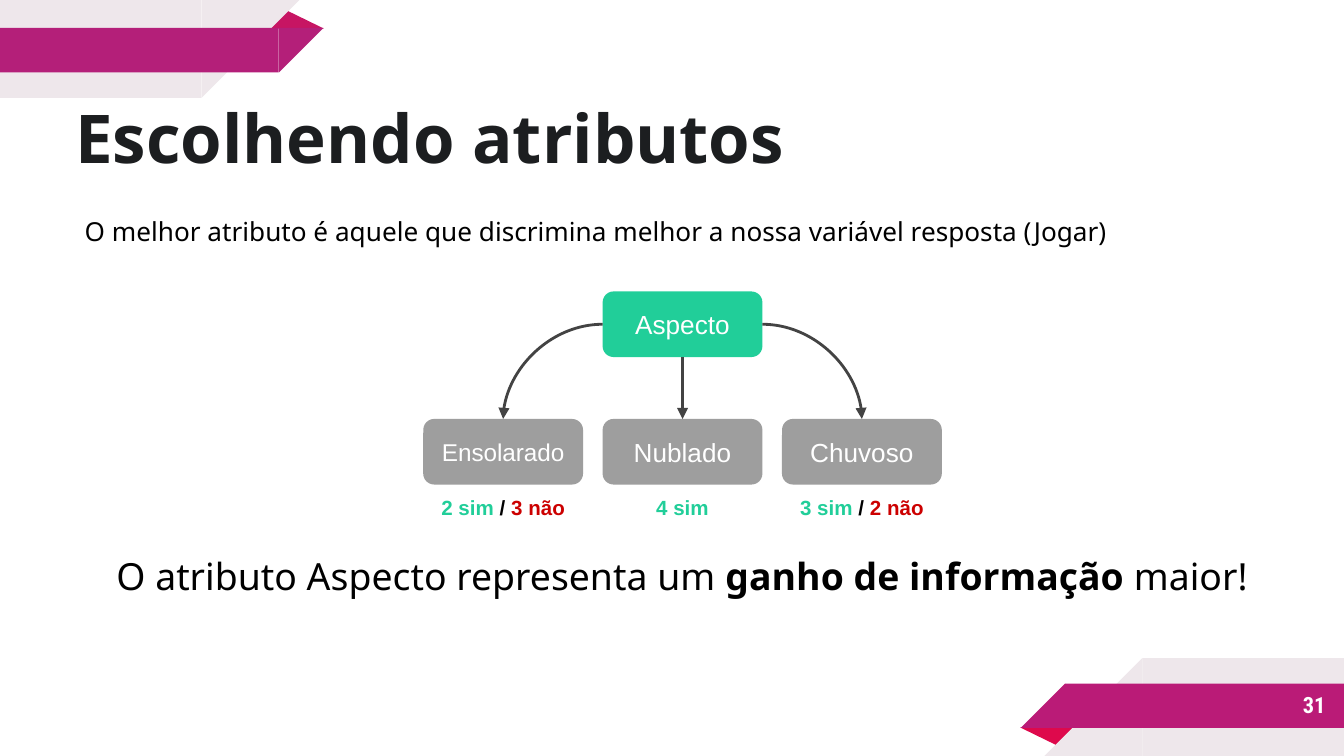
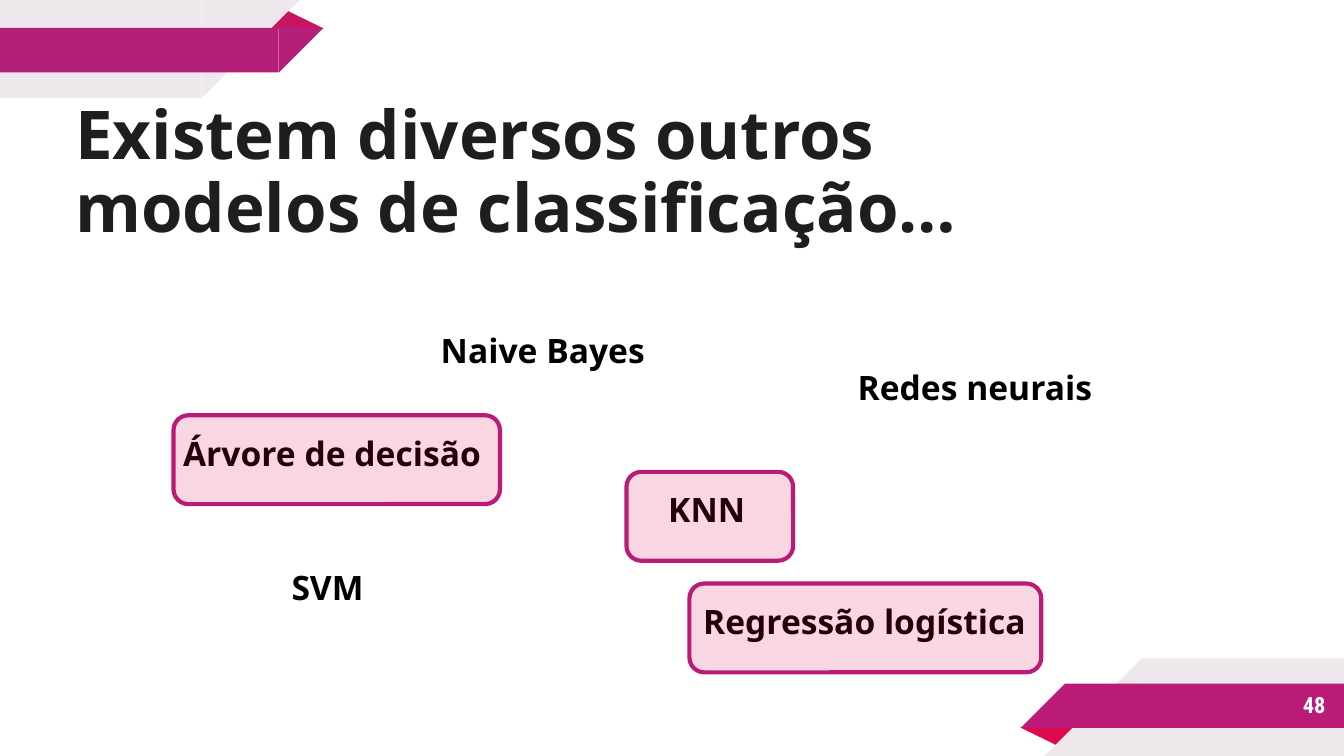
from dataclasses import dataclass
from typing import Optional

from lxml import etree
from pptx import Presentation
from pptx.dml.color import RGBColor
from pptx.enum import dml, shapes, text
from pptx.oxml import ns
from pptx.util import Cm, Pt

# Shared colours, fonts and measures (lengths in cm)
WHITE = RGBColor(0xFF, 0xFF, 0xFF)
BLACK = RGBColor(0x00, 0x00, 0x00)
INK = RGBColor(0x1C, 0x1E, 0x20)
PALE = RGBColor(0xEE, 0xE7, 0xEB)
TOP_BAND = RGBColor(0xB4, 0x1F, 0x79)
TOP_FOLD = RGBColor(0xC7, 0x15, 0x63)
MAGENTA = RGBColor(0xBA, 0x1B, 0x77)
CRIMSON = RGBColor(0xDE, 0x09, 0x4C)
GREEN = RGBColor(0x21, 0xCE, 0x99)
GREY = RGBColor(0x9E, 0x9E, 0x9E)
ARROW = RGBColor(0x43, 0x43, 0x43)
RED = RGBColor(0xCC, 0x00, 0x00)
SANS, ARIAL, CONDENSED = "Noto Sans", "Arial", "Roboto Condensed"
SLIDE_W, SLIDE_H = 25.4, 14.29
MARGIN, INSET = 1.42, 0.18
SHAPE, ALIGN, ANCHOR = shapes.MSO_SHAPE, text.PP_ALIGN, text.MSO_ANCHOR


@dataclass(frozen=True)
class Box:
    x: float
    y: float
    w: float
    h: float

    def lengths(self) -> tuple:
        return Cm(self.x), Cm(self.y), Cm(self.w), Cm(self.h)

    def turned(self) -> "Box":
        """The same box after half a turn of the slide."""
        return Box(SLIDE_W - self.x - self.w, SLIDE_H - self.y - self.h, self.w, self.h)


@dataclass(frozen=True)
class Run:
    text: str
    color: Optional[RGBColor] = None
    bold: Optional[bool] = None


@dataclass(frozen=True)
class Outcome:
    name: str
    size: int
    counts: tuple


@dataclass(frozen=True)
class Model:
    name: str
    box: Box
    frame_x: Optional[float] = None
    frame_w: float = 0


# Drawing helpers
def set_frame(tf, inset: float = INSET, anchor=ANCHOR.TOP) -> None:
    tf.word_wrap = True
    tf.auto_size = text.MSO_AUTO_SIZE.NONE
    tf.vertical_anchor = anchor
    tf.margin_left = tf.margin_right = tf.margin_top = tf.margin_bottom = Cm(inset)


def write(p, runs: tuple, font: str, size: float, color: RGBColor,
          bold: bool = False, align=ALIGN.LEFT) -> None:
    p.alignment = align
    p.font.name, p.font.size, p.font.bold = font, Pt(size), bold
    p.font.color.rgb = color
    for run in runs:
        r = p.add_run()
        r.text = run.text
        if run.color is not None:
            r.font.color.rgb = run.color
        if run.bold is not None:
            r.font.bold = run.bold


def add_label(slide, box: Box, runs: tuple, font: str, size: float, color: RGBColor,
              align=ALIGN.LEFT, inset: float = INSET, anchor=ANCHOR.TOP) -> None:
    tf = slide.shapes.add_textbox(*box.lengths()).text_frame
    set_frame(tf, inset, anchor)
    write(tf.paragraphs[0], runs, font, size, color, True, align)


def add_solid(parent, kind, box: Box, color: RGBColor, rotation: float = 0):
    sp = parent.shapes.add_shape(kind, *box.lengths())
    sp.shadow.inherit = False
    sp.fill.solid()
    sp.fill.fore_color.rgb = color
    sp.line.fill.background()
    sp.rotation = rotation
    return sp


def add_ribbon(slide, fold: RGBColor, band: RGBColor, bottom: bool) -> None:
    parts = (
        (SHAPE.ISOSCELES_TRIANGLE, Box(5.03, 0.18, 1.09, 0.36), fold, 0),
        (SHAPE.RECTANGLE, Box(0, 0, 3.81, 1.85), PALE, 0),
        (SHAPE.RIGHT_TRIANGLE, Box(3.81, 0, 1.85, 1.85), PALE, 90),
        (SHAPE.RECTANGLE, Box(0, 0.53, 5.27, 0.84), band, 0),
        (SHAPE.RIGHT_TRIANGLE, Box(5.27, 0.53, 0.84, 0.84), band, 90),
    )
    group = slide.shapes.add_group_shape()
    for kind, box, color, angle in parts:
        sp = add_solid(group, kind, box.turned() if bottom else box, color,
                       angle + 180 if bottom else angle)
        if kind == SHAPE.ISOSCELES_TRIANGLE:
            sp.adjustments[0] = 0.324
    # Ribbons lie behind the placeholders
    slide.shapes[0].element.addprevious(group.element)


def add_slide(prs, layout: int, title: str, box: Box, number: int):
    slide = prs.slides.add_slide(prs.slide_layouts[layout])
    add_ribbon(slide, TOP_FOLD, TOP_BAND, bottom=False)
    add_ribbon(slide, CRIMSON, MAGENTA, bottom=True)
    sp = slide.shapes.title
    sp.left, sp.top, sp.width, sp.height = box.lengths()
    set_frame(sp.text_frame, 0, ANCHOR.BOTTOM)
    p = sp.text_frame.paragraphs[0]
    p.line_spacing = 0.9
    write(p, (Run(title),), SANS, 36, INK, True)
    add_label(slide, Box(21.16, 12.88, 4.14, 0.89), (Run(str(number)),), CONDENSED, 12,
              WHITE, ALIGN.RIGHT, 0.25, ANCHOR.MIDDLE)
    return slide


def add_node(slide, box: Box, name: str, size: float, color: RGBColor):
    sp = add_solid(slide, SHAPE.ROUNDED_RECTANGLE, box, color)
    set_frame(sp.text_frame, INSET, ANCHOR.MIDDLE)
    write(sp.text_frame.paragraphs[0], (Run(name),), ARIAL, size, WHITE, align=ALIGN.CENTER)
    return sp


def add_arrow(slide, start, start_site: int, end, curved: bool) -> None:
    kind = shapes.MSO_CONNECTOR.CURVE if curved else shapes.MSO_CONNECTOR.STRAIGHT
    line = slide.shapes.add_connector(kind, 0, 0, 0, 0)
    line.begin_connect(start, start_site)
    line.end_connect(end, 0)
    line.line.color.rgb = ARROW
    line.line.width = Pt(1.5)
    sp_pr = line.element.spPr
    if curved:
        sp_pr.find(ns.qn("a:prstGeom")).set("prst", "curvedConnector2")
    etree.SubElement(sp_pr.find(ns.qn("a:ln")), ns.qn("a:tailEnd"), type="triangle")
    etree.SubElement(sp_pr, ns.qn("a:effectLst"))


def add_highlight(slide, box: Box) -> None:
    sp = add_solid(slide, SHAPE.ROUNDED_RECTANGLE, box, CRIMSON)
    color = sp.element.spPr.find(f"{ns.qn('a:solidFill')}/{ns.qn('a:srgbClr')}")
    etree.SubElement(color, ns.qn("a:alpha"), val="16000")
    sp.line.fill.solid()
    sp.line.fill.fore_color.rgb = MAGENTA
    sp.line.dash_style = dml.MSO_LINE.SOLID
    sp.line.width = Pt(2.25)


# Slide: choosing attributes
def build_attributes(prs) -> None:
    slide = add_slide(prs, 1, "Escolhendo atributos", Box(MARGIN, 0.91, 22.94, 2.46), 31)
    body = slide.placeholders[1]
    body.left, body.top, body.width, body.height = Box(MARGIN, 3.89, 22.94, 1.37).lengths()
    tf = body.text_frame
    set_frame(tf)
    paragraphs = (
        ((Run("O melhor atributo é aquele que discrimina melhor a nossa variável "
              "resposta (Jogar)"),), 14, ALIGN.LEFT, 0),
        ((Run("O atributo Aspecto representa um "), Run("ganho de informação", bold=True),
          Run(" maior!")), 20, ALIGN.CENTER, 164),
    )
    for i, (runs, size, align, gap) in enumerate(paragraphs):
        p = tf.add_paragraph() if i else tf.paragraphs[0]
        p_pr = p._p.get_or_add_pPr()
        p_pr.set("marL", "0")
        p_pr.set("indent", "0")
        etree.SubElement(p_pr, ns.qn("a:buNone"))
        p.space_before = Pt(gap)
        write(p, runs, SANS, size, BLACK, align=align)

    # Decision tree
    left, pitch, width, height = 8, 3.39, 3.02, 1.24
    root = add_node(slide, Box(left + pitch, 5.51, width, height), "Aspecto", 14, GREEN)
    slash = Run(" / ", BLACK)
    outcomes = (
        Outcome("Ensolarado", 13, (Run("2 sim"), slash, Run("3 não", RED))),
        Outcome("Nublado", 14, (Run("4 sim"),)),
        Outcome("Chuvoso", 14, (Run("3 sim"), slash, Run("2 não", RED))),
    )
    for i, outcome in enumerate(outcomes):
        x = left + i * pitch
        node = add_node(slide, Box(x, 7.92, width, height), outcome.name, outcome.size, GREY)
        # Connection sites 1, 2, 3 are left, bottom, right
        add_arrow(slide, root, i + 1, node, curved=i != 1)
        add_label(slide, Box(x, 9.17, width, 0.84), outcome.counts, ARIAL, 11, GREEN,
                  ALIGN.CENTER)


# Slide: other classification models
def build_models(prs) -> None:
    slide = add_slide(prs, 5, "Existem diversos outros modelos de classificação…",
                      Box(MARGIN, 2.21, 19.84, 2.46), 48)
    models = (
        Model("Árvore de decisão", Box(3.28, 8, 6.17, 1.37), 3.28, 6.17),
        Model("KNN", Box(12.45, 9.07, 2.54, 1.37), 11.84, 3.15),
        Model("SVM", Box(5.33, 10.54, 3.51, 1.37)),
        Model("Regressão logística", Box(13.11, 11.18, 6.65, 1.37), 13.03, 6.65),
        Model("Redes neurais", Box(16.03, 6.76, 5.87, 1.37)),
        Model("Naive Bayes", Box(8.15, 6.05, 7.47, 1.04)),
    )
    for model in models:
        add_label(slide, model.box, (Run(model.name),), SANS, 18, BLACK)
        if model.frame_x is not None:
            add_highlight(slide, Box(model.frame_x, model.box.y - 0.15, model.frame_w, 1.68))


def main() -> None:
    prs = Presentation()
    prs.slide_width, prs.slide_height = Cm(SLIDE_W), Cm(SLIDE_H)
    build_attributes(prs)
    build_models(prs)
    prs.save("out.pptx")


if __name__ == "__main__":
    main()
